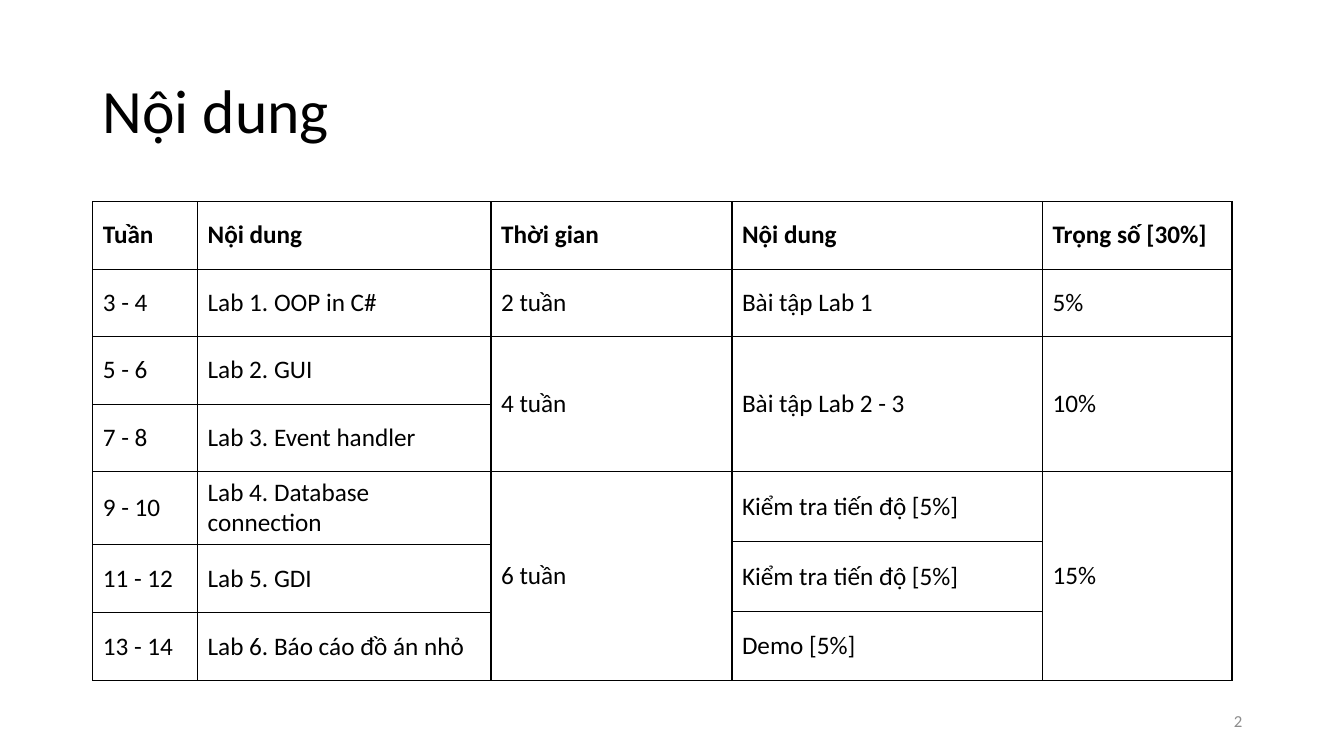
"""Build the course schedule slide with its merged table."""
from dataclasses import dataclass
from typing import Any

from lxml import etree
from pptx import Presentation
from pptx.dml import color as dml
from pptx.enum import text
from pptx.oxml import ns
from pptx.util import Inches, Pt

COLORS = {"ink": "000000", "muted": "8C8C8C", "paper": "FFFFFF"}
FONT = "Calibri"
TABLE_LEFT, TABLE_TOP = 0.92, 2.0
COLUMN_WIDTHS = [1.04, 2.91, 2.39, 3.08, 1.88]
ROW_HEIGHTS = [0.67] * 4 + [0.69, 0.03, 0.67, 0.01, 0.67]


@dataclass(frozen=True)
class Label:
    wording: str
    left: float
    top: float
    width: float
    height: float
    size: int
    color: str
    paragraph: dict[str, Any]


@dataclass(frozen=True)
class Entry:
    row: int
    wording: str
    rows: int = 1


LABELS = [
    Label("Nội dung", 0.92, 0.4, 11.5, 1.45, 44, "ink", {"line_spacing": 0.9}),
    Label("2", 9.42, 6.95, 3, 0.4, 12, "muted", {"alignment": text.PP_ALIGN.RIGHT}),
]

SCHEDULE = [
    [Entry(0, "Tuần"), Entry(1, "3 - 4"), Entry(2, "5 - 6"), Entry(3, "7 - 8"),
     Entry(4, "9 - 10", 2), Entry(6, "11 - 12", 2), Entry(8, "13 - 14")],
    [Entry(0, "Nội dung"), Entry(1, "Lab 1. OOP in C#"), Entry(2, "Lab 2. GUI"),
     Entry(3, "Lab 3. Event handler"), Entry(4, "Lab 4. Database connection", 2),
     Entry(6, "Lab 5. GDI", 2), Entry(8, "Lab 6. Báo cáo đồ án nhỏ")],
    [Entry(0, "Thời gian"), Entry(1, "2 tuần"), Entry(2, "4 tuần", 2),
     Entry(4, "6 tuần", 5)],
    [Entry(0, "Nội dung"), Entry(1, "Bài tập Lab 1"), Entry(2, "Bài tập Lab 2 - 3", 2),
     Entry(4, "Kiểm tra tiến độ [5%]"), Entry(5, "Kiểm tra tiến độ [5%]", 2),
     Entry(7, "Demo [5%]", 2)],
    [Entry(0, "Trọng số [30%]"), Entry(1, "5%"), Entry(2, "10%", 2),
     Entry(4, "15%", 5)],
]


def apply(target: Any, values: dict[str, Any]) -> None:
    for name, value in values.items():
        setattr(target, name, value)


def write(para: Any, wording: str, size: int, color: str, bold: bool = False) -> None:
    span = para.add_run()
    span.text = wording
    apply(span.font, {"name": FONT, "size": Pt(size), "bold": bold})
    span.font.color.rgb = dml.RGBColor.from_string(COLORS[color])


def add_label(page: Any, label: Label) -> None:
    box = page.shapes.add_textbox(*map(Inches, (label.left, label.top, label.width, label.height)))
    apply(box.text_frame, {"word_wrap": True, "vertical_anchor": text.MSO_ANCHOR.MIDDLE})
    para = box.text_frame.paragraphs[0]
    apply(para, label.paragraph)
    write(para, label.wording, label.size, label.color)


def format_cell(cell: Any) -> None:
    cell.vertical_anchor = text.MSO_ANCHOR.MIDDLE
    properties = cell._tc.get_or_add_tcPr()
    for side in ("lnL", "lnR", "lnT", "lnB"):
        line = etree.SubElement(properties, ns.qn(f"a:{side}"), w=str(Pt(1)))
        fill = etree.SubElement(line, ns.qn("a:solidFill"))
        etree.SubElement(fill, ns.qn("a:srgbClr"), val=COLORS["ink"])
    cell.fill.background()


def add_schedule(page: Any) -> None:
    frame = page.shapes.add_table(
        len(ROW_HEIGHTS), len(COLUMN_WIDTHS), Inches(TABLE_LEFT), Inches(TABLE_TOP),
        Inches(sum(COLUMN_WIDTHS)), Inches(sum(ROW_HEIGHTS)))
    table = frame.table
    apply(table, {"first_row": False, "horz_banding": False})
    for column, width in zip(table.columns, COLUMN_WIDTHS):
        column.width = Inches(width)
    for row, height in zip(table.rows, ROW_HEIGHTS):
        row.height = Inches(height)
    for cell in table.iter_cells():
        format_cell(cell)
    for column, entries in enumerate(SCHEDULE):
        for entry in entries:
            cell = table.cell(entry.row, column)
            if entry.rows > 1:
                cell.merge(table.cell(entry.row + entry.rows - 1, column))
            write(cell.text_frame.paragraphs[0], entry.wording, 18, "ink", entry.row == 0)


def main() -> None:
    deck = Presentation()
    apply(deck, {"slide_width": Inches(13.33), "slide_height": Inches(7.5)})
    page = deck.slides.add_slide(deck.slide_layouts[6])
    page.background.fill.solid()
    page.background.fill.fore_color.rgb = dml.RGBColor.from_string(COLORS["paper"])
    for label in LABELS:
        add_label(page, label)
    add_schedule(page)
    deck.save("out.pptx")


if __name__ == "__main__":
    main()
